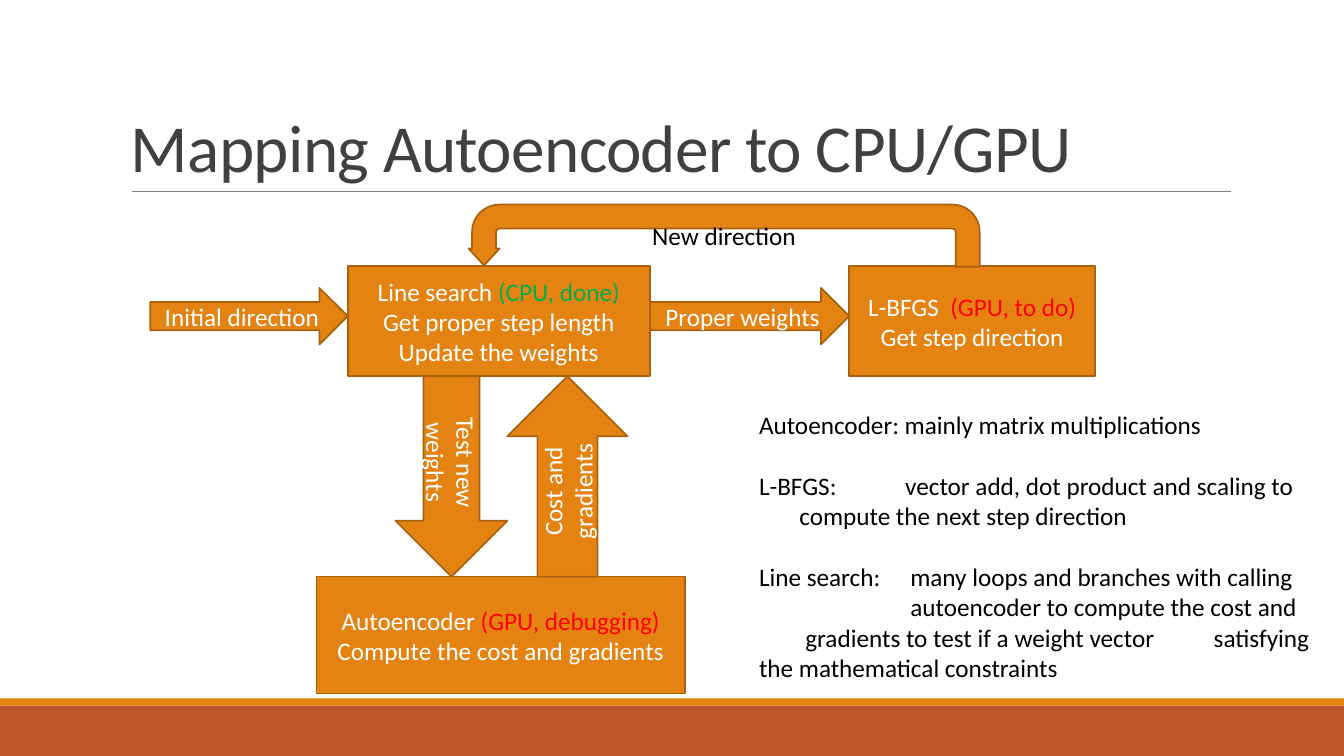
from collections import namedtuple

from lxml.etree import SubElement
from pptx import Presentation
from pptx.dml.color import RGBColor
from pptx.enum.shapes import MSO_CONNECTOR, MSO_SHAPE
from pptx.enum.text import MSO_ANCHOR, PP_ALIGN
from pptx.oxml.ns import qn
from pptx.util import Inches, Pt

WIDTH, HEIGHT = 13.33, 7.5
FONT = "Calibri"
COLORS = {
    "orange": "E48312", "edge": "A9610D", "rust": "BD582C", "rule": "808080",
    "title": "404040", "white": "FFFFFF", "black": "000000",
    "done": "00B050", "pending": "FF0000",
}
Box = namedtuple("Box", "left top width height")


def rgb(name):
    """Return the named colour."""
    return RGBColor.from_string(COLORS[name])


def inches(box):
    """Convert a box in inches to lengths."""
    return [Inches(length) for length in box]


def within(box, left, top, width, height):
    """Return the part of a box given by shares of its size."""
    return Box(box.left + left * box.width, box.top + top * box.height,
               width * box.width, height * box.height)


def add_run(paragraph, words, color, size=18):
    """Append one styled run."""
    run = paragraph.add_run()
    run.text = words
    run.font.size = Pt(size)
    run.font.name = FONT
    run.font.color.rgb = rgb(color)
    return run


def add_block(slide, kind, box, lines=(), fill="orange", edge="edge"):
    """Draw a filled shape with centred lines of (words, colour) runs."""
    block = slide.shapes.add_shape(kind, *inches(box))
    block.shadow.inherit = False
    block.fill.solid()
    block.fill.fore_color.rgb = rgb(fill)
    if edge:
        block.line.color.rgb = rgb(edge)
        block.line.width = Pt(1.25)
    else:
        block.line.fill.background()
    frame = block.text_frame
    frame.word_wrap = True
    frame.vertical_anchor = MSO_ANCHOR.MIDDLE
    for index, runs in enumerate(lines):
        paragraph = frame.add_paragraph() if index else frame.paragraphs[0]
        paragraph.alignment = PP_ALIGN.CENTER
        for words, color in runs:
            add_run(paragraph, words, color)
    return block


def add_arrow(slide, center_x, center_y, length, breadth, label, turn=0):
    """Draw a labelled arrow about its centre, turned by some degrees."""
    box = Box(center_x - length / 2, center_y - breadth / 2, length, breadth)
    arrow = add_block(slide, MSO_SHAPE.RIGHT_ARROW, box, [[(label, "white")]])
    arrow.rotation = turn


def add_footer(slide, box):
    """Draw the two bands along the foot of the slide."""
    stripe = 0.07
    add_block(slide, MSO_SHAPE.RECTANGLE,
              Box(box.left, box.top + stripe, box.width, box.height - stripe),
              fill="rust", edge=None)
    add_block(slide, MSO_SHAPE.RECTANGLE,
              Box(box.left, box.top, box.width, stripe), edge=None)


def add_title(slide, box):
    """Write the title at the bottom of its box, over a thin rule."""
    baseline = box.top + box.height
    rule = slide.shapes.add_connector(
        MSO_CONNECTOR.STRAIGHT, Inches(box.left + 0.11), Inches(baseline),
        Inches(box.left + 11.01), Inches(baseline))
    rule.line.color.rgb = rgb("rule")
    rule.line.width = Pt(0.5)
    SubElement(rule.element.spPr, qn("a:effectLst"))
    frame = slide.shapes.add_textbox(*inches(box)).text_frame
    frame.word_wrap = True
    frame.vertical_anchor = MSO_ANCHOR.BOTTOM
    heading = frame.paragraphs[0]
    heading.line_spacing = 0.85
    run = add_run(heading, "Mapping Autoencoder to CPU/GPU", "title", 48)
    run.font.size = Pt(48)
    run.font._element.set("spc", "-50")


def add_flow(slide, box):
    """Draw the three steps and the arrows that join them."""
    search = within(box, 0.209, 0.126, 0.32, 0.225)
    lbfgs = within(box, 0.74, 0.126, 0.26, 0.225)
    encoder = within(box, 0.176, 0.761, 0.39, 0.239)
    steps = [
        (search, [[("Line search ", "white"), ("(CPU, done)", "done")],
                  [("Get proper step length", "white")],
                  [("Update the weights", "white")]]),
        (lbfgs, [[("L-BFGS  ", "white"), ("(GPU, to do)", "pending")],
                 [("Get step direction", "white")]]),
        (encoder, [[("Autoencoder ", "white"), ("(GPU, debugging)", "pending")],
                   [("Compute the cost and gradients", "white")]]),
    ]
    for step, lines in steps:
        add_block(slide, MSO_SHAPE.RECTANGLE, step, lines)

    middle = search.top + search.height / 2 - 0.05
    search_right = search.left + search.width
    for start, end, label in [(box.left, search.left, "Initial direction"),
                              (search_right, lbfgs.left, "Proper weights")]:
        add_arrow(slide, (start + end) / 2, middle, end - start, 0.56, label)

    search_bottom = search.top + search.height
    drop = encoder.top - search_bottom
    for share, breadth, label, turn in [(0.343, 1.11, "Test new weights", 90),
                                        (0.727, 1.19, "Cost and gradients", 270)]:
        add_arrow(slide, search.left + share * search.width,
                  search_bottom + drop / 2, drop, breadth, label, turn)

    back = add_block(slide, MSO_SHAPE.U_TURN_ARROW,
                     within(box, 0.337, 0, 0.541, 0.127),
                     [[("New direction", "black")]])
    for index, share in enumerate([0.386, 0.25, 0.273, 0.438, 0.979]):
        back.adjustments[index] = share
    back.element.spPr.find(qn("a:xfrm")).set("flipH", "1")


def add_notes(slide, box):
    """Write the remarks, each with its own tab stops in inches."""
    remarks = [
        ([], ["Autoencoder: mainly matrix multiplications"]),
        ([0.4, 1.45], ["L-BFGS:\tvector add, dot product and scaling to",
                       "\tcompute the next step direction"]),
        ([0.46, 1.5, 4.51], ["Line search:\tmany loops and branches with calling",
                             "\t\tautoencoder to compute the cost and",
                             "\tgradients to test if a weight vector\tsatisfying",
                             "the mathematical constraints"]),
    ]
    frame = slide.shapes.add_textbox(*inches(box)).text_frame
    frame.word_wrap = True
    for index, (stops, lines) in enumerate(remarks):
        remark = frame.add_paragraph() if index else frame.paragraphs[0]
        remark.space_before = Pt(22 if index else 0)
        if stops:
            tabs = SubElement(remark._p.get_or_add_pPr(), qn("a:tabLst"))
            for stop in stops:
                SubElement(tabs, qn("a:tab"), pos=str(Inches(stop)), algn="l")
        for number, line in enumerate(lines):
            if number:
                remark.add_line_break()
            add_run(remark, line, "black")


def main():
    """Build and save the slide."""
    deck = Presentation()
    deck.slide_width, deck.slide_height = Inches(WIDTH), Inches(HEIGHT)
    slide = deck.slides.add_slide(deck.slide_layouts[6])
    add_footer(slide, Box(0, 6.93, WIDTH, HEIGHT - 6.93))
    add_title(slide, Box(1.2, 0.31, 11.82, 1.59))
    add_flow(slide, Box(1.49, 2.03, 9.37, 4.85))
    add_notes(slide, Box(7.43, 4.01, 5.9, 3.43))
    deck.save("out.pptx")


if __name__ == "__main__":
    main()
